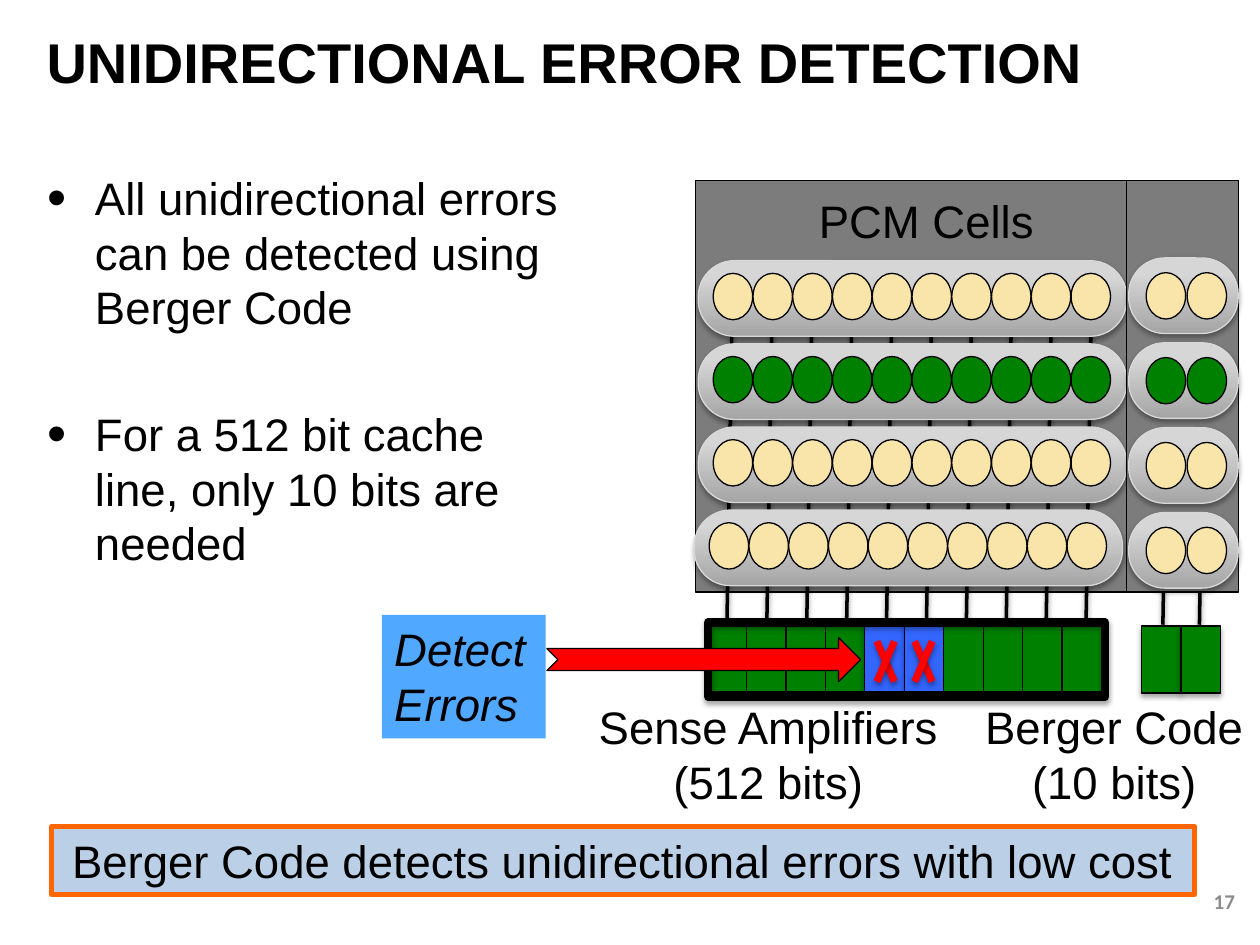
from lxml.etree import SubElement
from pptx import Presentation
from pptx.dml.color import RGBColor
from pptx.enum.shapes import MSO_CONNECTOR as Link, MSO_SHAPE as Kind
from pptx.enum.text import MSO_ANCHOR as Anchor, MSO_AUTO_SIZE as Fit, PP_ALIGN as Align
from pptx.oxml.ns import qn
from pptx.util import Pt

BLACK, GREEN, CREAM, GREY = "000000", "008000", "F9E4A9", "7C7C7C"
BLUE, RED = "3366FF", "FF0000"
CELL_W, CELL_H = 22.5, 26.5
AMP_W, AMP_H, AMP_TOP = 22.55, 38.2, 357.2


def color(hex_code):
    return RGBColor.from_string(hex_code)


def box(left, top, width, height):
    return Pt(left), Pt(top), Pt(width), Pt(height)


def add_shadow(item, alpha, dist):
    """Soft black shadow falling straight down."""
    props = item._element.spPr
    effects = props.find(qn("a:effectLst"))
    if effects is None:
        effects = SubElement(props, qn("a:effectLst"))
    outer = SubElement(effects, qn("a:outerShdw"), blurRad=str(Pt(3.1)),
                       dist=str(Pt(dist)), dir="5400000", rotWithShape="0")
    black = SubElement(outer, qn("a:srgbClr"), val=BLACK)
    SubElement(black, qn("a:alpha"), val=str(alpha * 1000))


def add_block(slide, kind, bounds, fill=None, outline=BLACK, weight=0.75, shadow=False):
    block = slide.shapes.add_shape(kind, *box(*bounds))
    block.shadow.inherit = False
    if fill:
        block.fill.solid()
        block.fill.fore_color.rgb = color(fill)
    else:
        block.fill.background()
    if outline:
        block.line.color.rgb = color(outline)
        block.line.width = Pt(weight)
    else:
        block.line.fill.background()
    if shadow:
        add_shadow(block, 35, 1.8)
    return block


def add_wire(slide, x1, y1, x2, y2, ink=BLACK, weight=2):
    wire = slide.shapes.add_connector(Link.STRAIGHT, Pt(x1), Pt(y1), Pt(x2), Pt(y2))
    wire.line.color.rgb = color(ink)
    wire.line.width = Pt(weight)
    add_shadow(wire, 38, 1.6)


def write(frame, lines, size=26, font="Arial", ink=BLACK, align=Align.LEFT,
          anchor=Anchor.TOP, wrap=True, bold=False, italic=False):
    frame.auto_size = Fit.NONE
    frame.word_wrap = wrap
    frame.vertical_anchor = anchor
    for index, line in enumerate(lines):
        para = frame.add_paragraph() if index else frame.paragraphs[0]
        para.alignment = align
        run = para.add_run()
        run.text = line
        run.font.name = font
        run.font.size = Pt(size)
        run.font.bold = bold
        run.font.italic = italic
        run.font.color.rgb = color(ink)


def add_label(slide, bounds, lines, **style):
    label = slide.shapes.add_textbox(*box(*bounds))
    write(label.text_frame, lines, **style)
    return label


def add_bullets(slide, bounds, lines, gap):
    body = add_label(slide, bounds, lines)
    for index, para in enumerate(body.text_frame.paragraphs):
        para.space_before = Pt(gap if index else 0)
        props = para._p.get_or_add_pPr()
        props.set("marL", str(Pt(27)))
        props.set("indent", str(Pt(-27)))
        SubElement(props, qn("a:buSzPct"), val="120000")
        SubElement(props, qn("a:buFont"), typeface="Arial")
        SubElement(props, qn("a:buChar"), char="•")


def add_cell_row(slide, left, top, width, count, inset, pitch, fill):
    """Rounded grey strip holding a line of memory cells."""
    strip = add_block(slide, Kind.ROUNDED_RECTANGLE, (left, top, width, 43.2),
                      GREY, "D8D8D8", shadow=True)
    strip.adjustments[0] = 0.479
    strip.fill.gradient()
    strip.fill.gradient_angle = 90
    for stop, shade, place in zip(strip.fill.gradient_stops, ("A5A5A5", "D6D6D6"), (0, 0.8)):
        stop.color.rgb = color(shade)
        stop.position = place
    for i in range(count):
        add_block(slide, Kind.OVAL,
                  (left + inset[0] + i * pitch, top + inset[1], CELL_W, CELL_H), fill)


def add_pcm_array(slide):
    add_block(slide, Kind.RECTANGLE, (397.4, 103, 246.2, 235.4), GREY)
    add_label(slide, (460.8, 106.6, 138.2, 38.9), ["PCM Cells"], wrap=False)
    # Bit lines run behind the cells down to the sense amplifiers
    for i in range(10):
        x = 418.3 + i * 22.8
        add_wire(slide, x, 182.9, x - 2.9, 356.4)
    for row, fill in enumerate((CREAM, GREEN, CREAM, CREAM)):
        left = 396.7 if row == 3 else 399
        add_cell_row(slide, left, 149 + row * 47.5, 244.8, 10, (8.6, 7.2), 22.72, fill)


def add_sense_amplifiers(slide):
    failing = (4, 5)
    for i in range(10):
        add_block(slide, Kind.RECTANGLE, (404 + i * AMP_W, AMP_TOP, AMP_W, AMP_H),
                  BLUE if i in failing else GREEN, shadow=i in failing)
    # Crosses over the two failing bits
    for left in (501.1, 522.7):
        right = left + 10
        add_wire(slide, left, 366.5, right, 389.5, RED, 4)
        add_wire(slide, right, 366.5, left, 389.5, RED, 4)
    add_block(slide, Kind.RECTANGLE, (404.6, 355.7, 226.8, 42.5), weight=5, shadow=True)
    add_label(slide, (334, 396, 210.2, 70.6), ["Sense Amplifiers", "(512 bits)"],
              align=Align.CENTER, wrap=False)


def add_berger_code(slide):
    for x in (667.4, 688.3):
        add_wire(slide, x, 183.6, x - 2.9, 357)
    add_block(slide, Kind.RECTANGLE, (643.7, 103, 64.1, 235.4), GREY)
    for row, fill in enumerate((CREAM, GREEN, CREAM, CREAM)):
        add_cell_row(slide, 645, 147.4 + row * 48.5, 62.6, 2, (10, 8.4), 23.4, fill)
    for i in range(2):
        add_block(slide, Kind.RECTANGLE, (652.3 + i * AMP_W, 357.8, AMP_W, AMP_H),
                  GREEN, shadow=True)
    add_label(slide, (555.1, 396, 163.4, 70.6), ["Berger Code", "(10 bits)"],
              align=Align.CENTER, wrap=False)


def add_detection_callout(slide):
    callout = add_block(slide, Kind.RECTANGLE, (218.2, 351.4, 93.6, 70.6), "51A8FF", None)
    write(callout.text_frame, ["Detect Errors"], italic=True)
    add_block(slide, Kind.NOTCHED_RIGHT_ARROW, (312.5, 364.3, 179.3, 25.2), RED)


def main():
    deck = Presentation()
    deck.slide_width, deck.slide_height = Pt(720), Pt(540)
    slide = deck.slides.add_slide(deck.slide_layouts[5])

    # Title and bullets
    title = slide.shapes.title
    title.left, title.top, title.width, title.height = box(19.4, 15.8, 660.2, 38.2)
    write(title.text_frame, ["UNIDIRECTIONAL ERROR DETECTION"], size=32, bold=True,
          anchor=Anchor.MIDDLE)
    add_bullets(slide, (20.2, 93.6, 307.4, 248.4),
                ["All unidirectional errors can be detected using Berger Code",
                 "For a 512 bit cache line, only 10 bits are needed"], gap=41.5)

    # Memory diagram
    add_pcm_array(slide)
    add_berger_code(slide)
    add_sense_amplifiers(slide)
    add_detection_callout(slide)

    # Takeaway and page number
    takeaway = add_block(slide, Kind.RECTANGLE, (29.5, 472.3, 653, 38.9),
                         "BBCFE6", "FF6600", 3)
    write(takeaway.text_frame, ["Berger Code detects unidirectional errors with low cost"],
          align=Align.CENTER)
    add_label(slide, (545, 500.4, 167.8, 28.8), ["17"], size=12, font="Calibri",
              ink="8C8C8C", bold=True, align=Align.RIGHT, anchor=Anchor.MIDDLE)

    deck.save("out.pptx")


if __name__ == "__main__":
    main()
